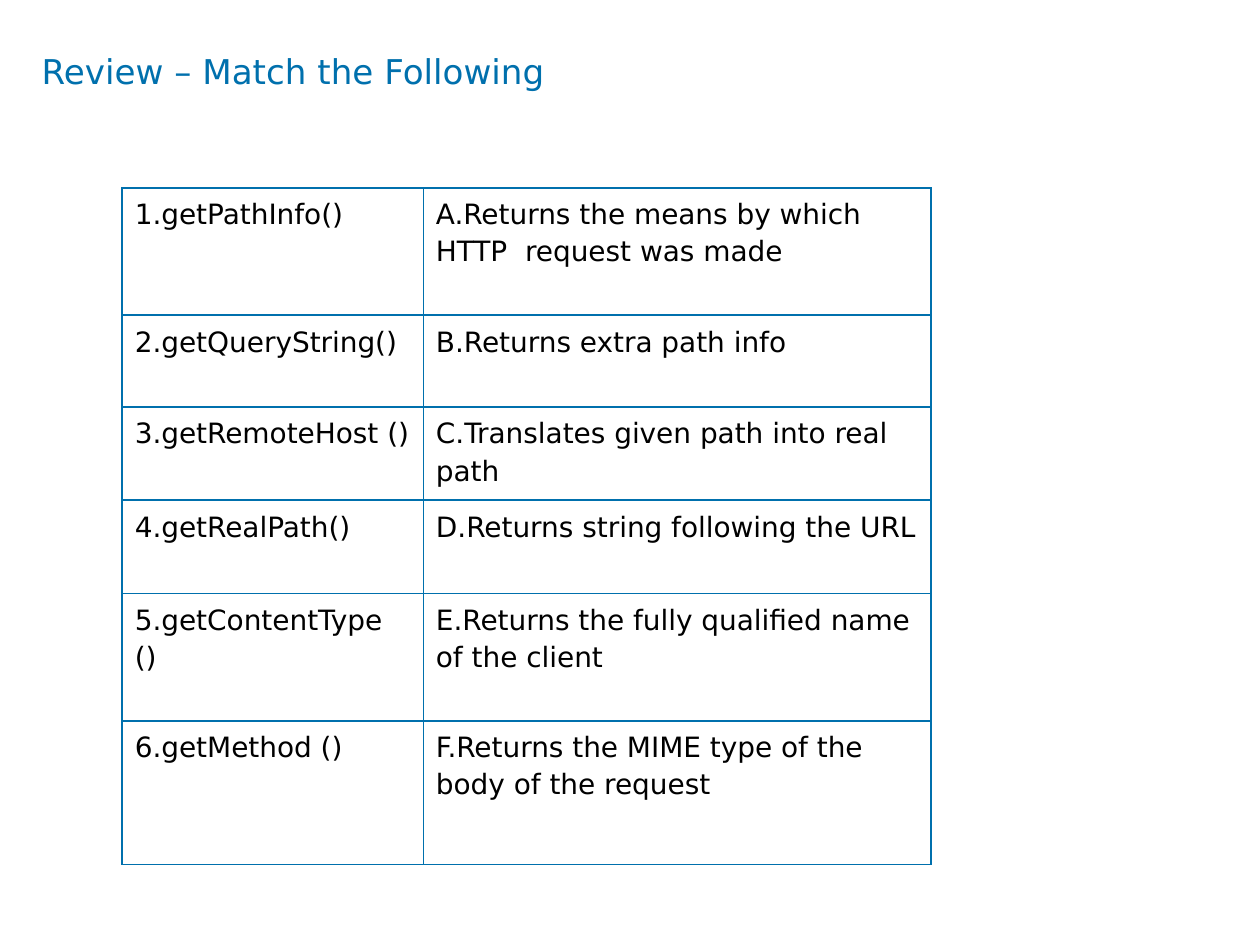
from dataclasses import dataclass

from lxml.etree import SubElement
from pptx import Presentation
from pptx.dml.color import RGBColor
from pptx.enum.text import MSO_ANCHOR, MSO_AUTO_SIZE, PP_ALIGN
from pptx.oxml.ns import qn
from pptx.util import Inches, Pt

SLIDE_WIDTH, SLIDE_HEIGHT = Inches(10), Inches(7.5)


@dataclass(frozen=True)
class Theme:
    font: str = "DejaVu Sans"
    accent: RGBColor = RGBColor(0x00, 0x70, 0xAD)
    ink: RGBColor = RGBColor(0, 0, 0)
    title_size: float = 19.5
    body_size: float = 16
    border: float = 1


@dataclass(frozen=True)
class Pair:
    """A method, a description to match it with, and the row height in percent."""
    method: str
    description: str
    height: float


THEME = Theme()
TITLE = "Review – Match the Following"
TITLE_BOX = (3.3, 5.87, 90.4, 12.53)
TABLE_CORNER = (9.7, 19.87)
COLUMN_WIDTHS = (23.9, 40.3)
NUMBERING = ("arabicPeriod", "alphaUcPeriod")
PAIRS = (
    Pair("getPathInfo()", "Returns the means by which HTTP  request was made", 13.47),
    Pair("getQueryString()", "Returns extra path info", 9.73),
    Pair("getRemoteHost ()", "Translates given path into real path", 9.87),
    Pair("getRealPath()", "Returns string following the URL", 9.87),
    Pair("getContentType ()", "Returns the fully qualified name of the client", 13.47),
    Pair("getMethod ()", "Returns the MIME type of the body of the request", 15.2),
)


def across(percent: float) -> int:
    return round(SLIDE_WIDTH * percent / 100)


def down(percent: float) -> int:
    return round(SLIDE_HEIGHT * percent / 100)


def write(paragraph, text: str, size: float, color: RGBColor, spacing: float) -> None:
    paragraph.alignment = PP_ALIGN.LEFT
    paragraph.line_spacing = spacing
    run = paragraph.add_run()
    run.text = text
    for name, value in {"name": THEME.font, "size": Pt(size), "bold": False}.items():
        setattr(run.font, name, value)
    run.font.color.rgb = color


def number(paragraph, scheme: str, start: int) -> None:
    properties = paragraph._p.get_or_add_pPr()
    properties.set("marL", "0")
    properties.set("indent", "0")
    SubElement(properties, qn("a:buAutoNum"), type=scheme, startAt=str(start))


def outline(cell) -> None:
    properties = cell._tc.get_or_add_tcPr()
    for side in ("lnL", "lnR", "lnT", "lnB"):
        line = SubElement(properties, qn(f"a:{side}"), w=str(Pt(THEME.border)))
        fill = SubElement(line, qn("a:solidFill"))
        SubElement(fill, qn("a:srgbClr"), val=str(THEME.accent))


def add_title(slide) -> None:
    title = slide.shapes.title
    left, top, width, height = TITLE_BOX
    title.left, title.top = across(left), down(top)
    title.width, title.height = across(width), down(height)
    frame = title.text_frame
    settings = {
        "margin_left": 0, "margin_top": 0, "margin_right": 0, "margin_bottom": 0,
        "vertical_anchor": MSO_ANCHOR.TOP, "word_wrap": True,
        "auto_size": MSO_AUTO_SIZE.NONE,
    }
    for name, value in settings.items():
        setattr(frame, name, value)
    write(frame.paragraphs[0], TITLE, THEME.title_size, THEME.accent, 0.9)


def add_matching_table(slide) -> None:
    left, top = TABLE_CORNER
    table = slide.shapes.add_table(
        len(PAIRS), len(COLUMN_WIDTHS), across(left), down(top),
        across(sum(COLUMN_WIDTHS)), down(sum(pair.height for pair in PAIRS)),
    ).table
    table.first_row = table.horz_banding = False
    for column, width in zip(table.columns, COLUMN_WIDTHS):
        column.width = across(width)
    for position, (row, pair) in enumerate(zip(table.rows, PAIRS), start=1):
        row.height = down(pair.height)
        entries = (pair.method, pair.description)
        for cell, entry, scheme in zip(row.cells, entries, NUMBERING):
            outline(cell)
            cell.fill.background()
            paragraph = cell.text_frame.paragraphs[0]
            number(paragraph, scheme, position)
            write(paragraph, entry, THEME.body_size, THEME.ink, 1.15)


def main() -> None:
    deck = Presentation()
    deck.slide_width, deck.slide_height = SLIDE_WIDTH, SLIDE_HEIGHT
    slide = deck.slides.add_slide(deck.slide_layouts.get_by_name("Title Only"))
    add_matching_table(slide)
    add_title(slide)
    deck.save("out.pptx")


if __name__ == "__main__":
    main()
